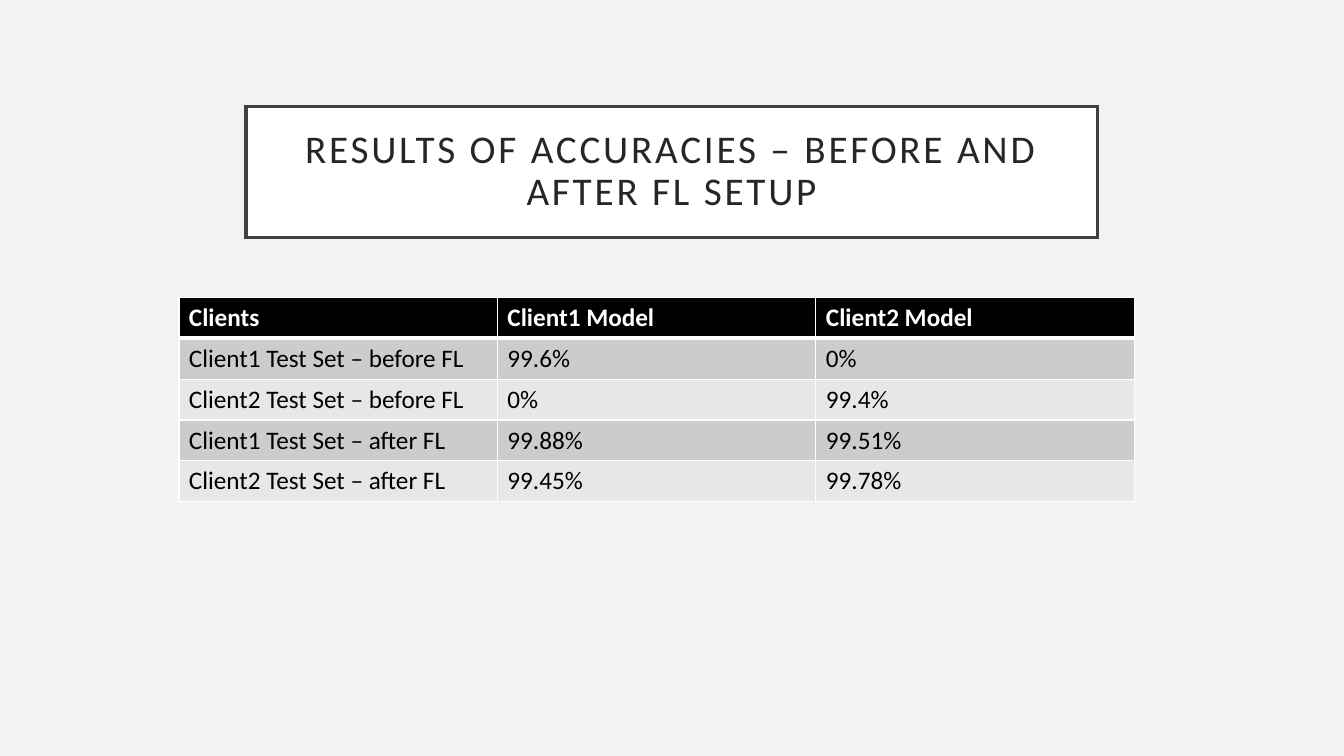
from dataclasses import dataclass

from lxml.etree import SubElement
from pptx import Presentation
from pptx.dml.color import RGBColor
from pptx.enum.shapes import MSO_SHAPE
from pptx.enum.text import MSO_ANCHOR, PP_ALIGN
from pptx.oxml.ns import qn
from pptx.slide import Slide
from pptx.table import _Cell
from pptx.util import Emu, Pt


@dataclass(frozen=True)
class Theme:
    font: str = "Calibri"
    background: str = "F2F2F2"
    white: str = "FFFFFF"
    black: str = "000000"
    frame: str = "404040"
    title_text: str = "262626"
    bands: tuple[str, str] = ("CCCCCC", "E7E7E7")
    title_size: int = 28
    table_size: int = 18
    title_spacing: int = 2
    frame_width: float = 2.5
    border_width: int = 1
    header_rule: int = 3


@dataclass(frozen=True)
class Box:
    left: int
    top: int
    width: int
    height: int

    def emu(self) -> tuple[Emu, Emu, Emu, Emu]:
        return px(self.left), px(self.top), px(self.width), px(self.height)


@dataclass(frozen=True)
class RowStyle:
    fill: str
    color: str
    bold: bool
    top: int
    bottom: int


THEME = Theme()
EMU_PER_PX = 4572
SLIDE_WIDTH, SLIDE_HEIGHT = 2667, 1500
TITLE_BOX = Box(488, 211, 1690, 260)
TITLE_INSET = 40
TABLE_LEFT, TABLE_TOP = 355, 590
COLUMN_WIDTH, ROW_HEIGHT = 632, 81

TITLE = "RESULTS OF ACCURACIES – BEFORE AND AFTER FL SETUP"
ACCURACIES = [
    ("Clients", "Client1 Model", "Client2 Model"),
    ("Client1 Test Set – before FL", "99.6%", "0%"),
    ("Client2 Test Set – before FL", "0%", "99.4%"),
    ("Client1 Test Set – after FL", "99.88%", "99.51%"),
    ("Client2 Test Set – after FL", "99.45%", "99.78%"),
]


def px(length: int) -> Emu:
    return Emu(length * EMU_PER_PX)


def rgb(color: str) -> RGBColor:
    return RGBColor.from_string(color)


def add_run(p, text: str, size: int, color: str, bold: bool = False):
    r = p.add_run()
    r.text = text
    r.font.name = THEME.font
    r.font.size = Pt(size)
    r.font.bold = bold
    r.font.color.rgb = rgb(color)
    return r


def add_title(s: Slide) -> None:
    sp = s.shapes.add_shape(MSO_SHAPE.RECTANGLE, *TITLE_BOX.emu())
    sp.shadow.inherit = False
    sp.fill.solid()
    sp.fill.fore_color.rgb = rgb(THEME.white)
    sp.line.color.rgb = rgb(THEME.frame)
    sp.line.width = Pt(THEME.frame_width)
    SubElement(sp.line._get_or_add_ln(), qn("a:miter"), lim="800000")
    tf = sp.text_frame
    tf.word_wrap = True
    tf.vertical_anchor = MSO_ANCHOR.MIDDLE
    tf.margin_left = tf.margin_right = px(TITLE_INSET)
    tf.margin_top = tf.margin_bottom = px(TITLE_INSET)
    p = tf.paragraphs[0]
    p.alignment = PP_ALIGN.CENTER
    p.line_spacing = 0.9
    r = add_run(p, TITLE, THEME.title_size, THEME.title_text)
    r.font._element.set("spc", str(THEME.title_spacing * 100))


def set_borders(cell: _Cell, top: int, bottom: int) -> None:
    """Draw white cell borders; must run before the cell is filled."""
    side = THEME.border_width
    tc_pr = cell._tc.get_or_add_tcPr()
    for tag, width in (("lnL", side), ("lnR", side), ("lnT", top), ("lnB", bottom)):
        ln = SubElement(tc_pr, qn(f"a:{tag}"), w=str(Pt(width)))
        fill = SubElement(ln, qn("a:solidFill"))
        SubElement(fill, qn("a:srgbClr"), val=THEME.white)


def row_style(row: int) -> RowStyle:
    thin, thick = THEME.border_width, THEME.header_rule
    if row == 0:
        return RowStyle(THEME.black, THEME.white, True, thin, thick)
    band = THEME.bands[(row - 1) % 2]
    return RowStyle(band, THEME.black, False, thick if row == 1 else thin, thin)


def add_accuracy_table(s: Slide) -> None:
    rows, columns = len(ACCURACIES), len(ACCURACIES[0])
    box = Box(TABLE_LEFT, TABLE_TOP, columns * COLUMN_WIDTH, rows * ROW_HEIGHT)
    table = s.shapes.add_table(rows, columns, *box.emu()).table
    for i, values in enumerate(ACCURACIES):
        style = row_style(i)
        for j, value in enumerate(values):
            cell = table.cell(i, j)
            set_borders(cell, style.top, style.bottom)
            cell.fill.solid()
            cell.fill.fore_color.rgb = rgb(style.fill)
            p = cell.text_frame.paragraphs[0]
            add_run(p, value, THEME.table_size, style.color, style.bold)


def main() -> None:
    prs = Presentation()
    prs.slide_width, prs.slide_height = px(SLIDE_WIDTH), px(SLIDE_HEIGHT)
    s = prs.slides.add_slide(prs.slide_layouts[6])
    s.background.fill.solid()
    s.background.fill.fore_color.rgb = rgb(THEME.background)
    add_title(s)
    add_accuracy_table(s)
    prs.save("out.pptx")


if __name__ == "__main__":
    main()
